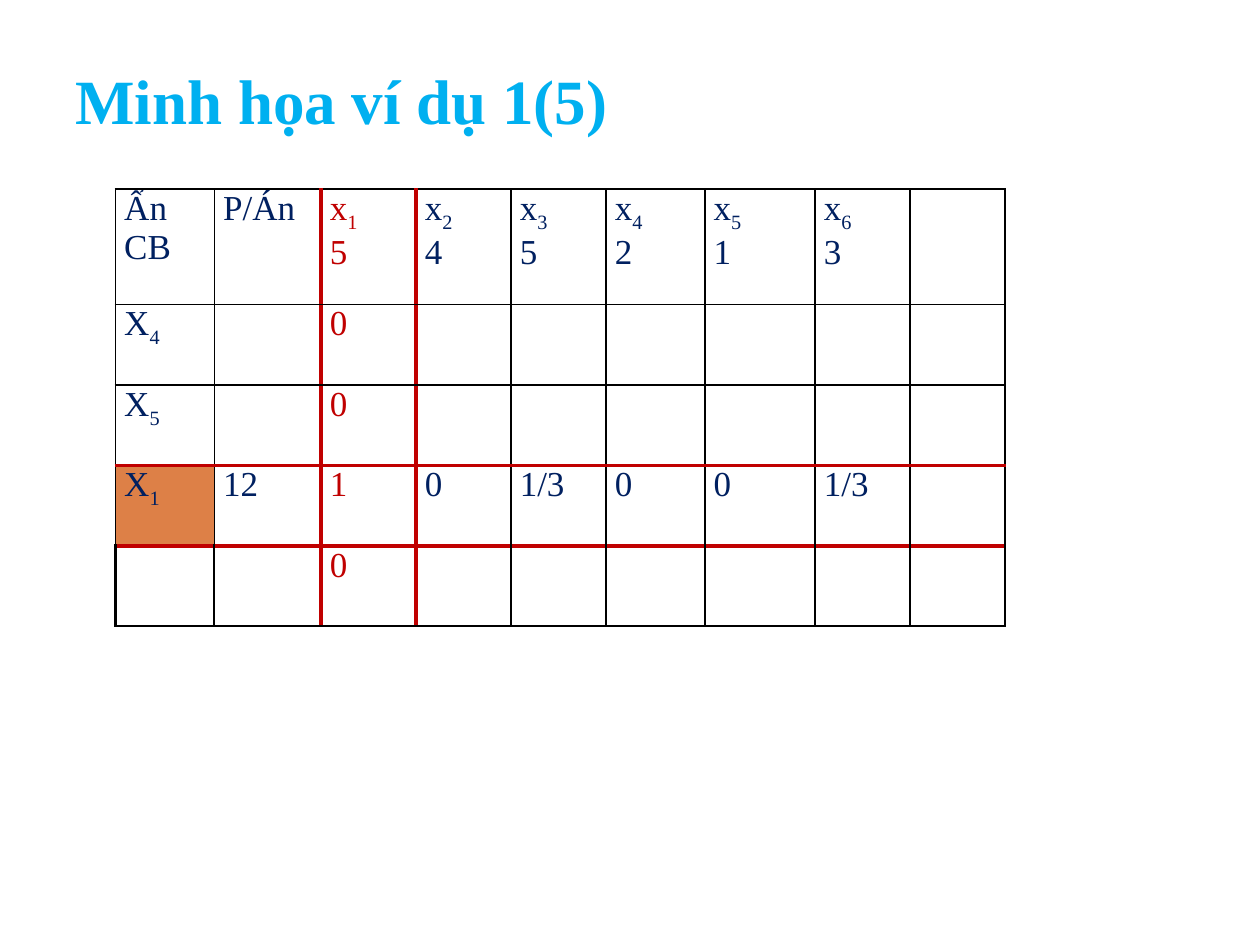
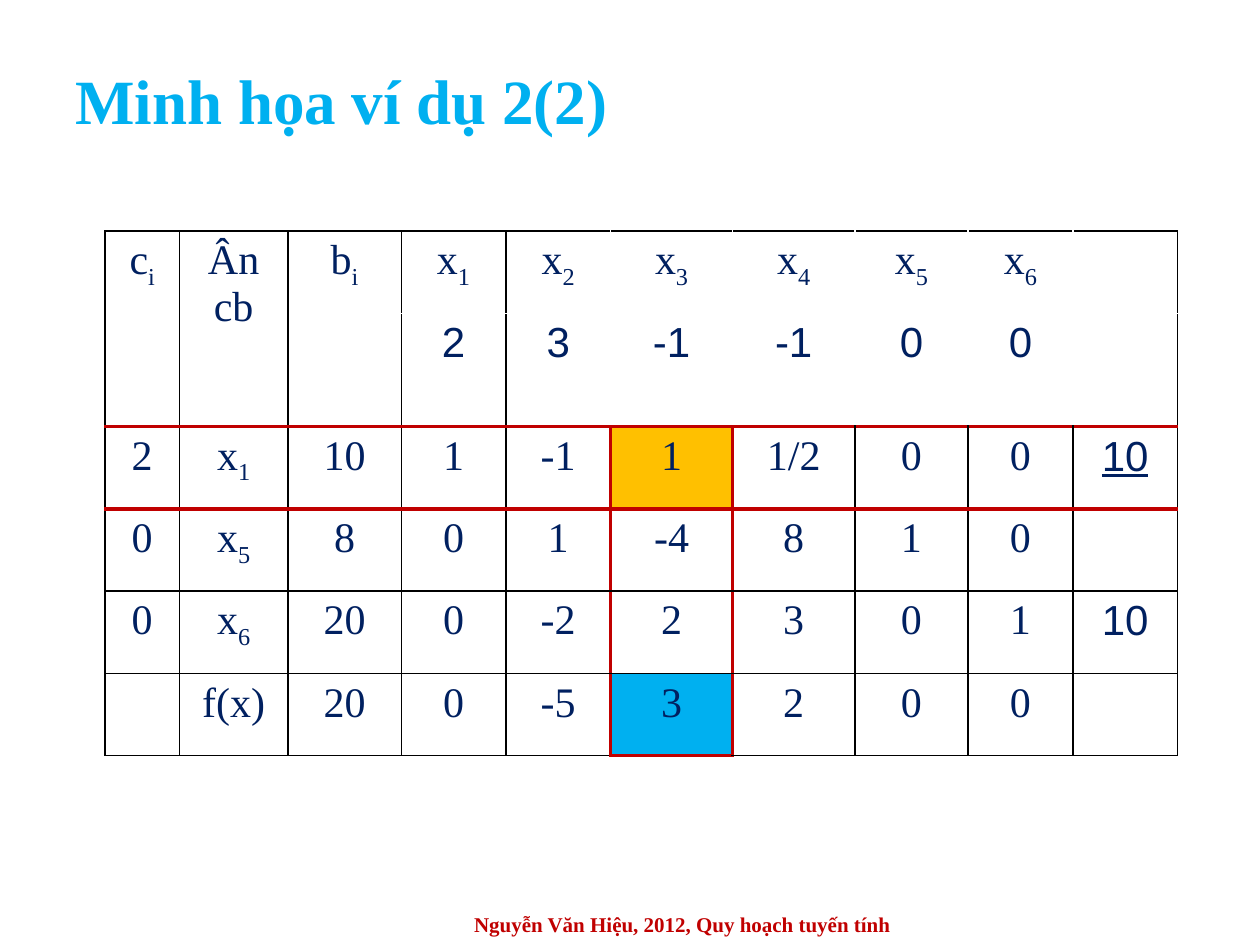
"""Build two slides of simplex tables."""
from itertools import product

from lxml.etree import SubElement
from pptx import Presentation
from pptx.dml.color import RGBColor
from pptx.enum.text import MSO_ANCHOR, PP_ALIGN
from pptx.oxml.ns import qn
from pptx.util import Pt

COLOURS = {
    "title": "00B0F0",
    "text": "002060",
    "accent": "C00000",
    "line": "000000",
    "leaving": "DD8047",
    "pivot": "FFC000",
    "entering": "00B0F0",
}
SERIF, SANS = "Times New Roman", "Arial"
THIN, MEDIUM, THICK = 1, 1.5, 2.25
EDGE_ORDER = [qn(f"a:ln{side}") for side in "LRTB"]


def colour(name):
    """Return the named colour."""
    return RGBColor.from_string(COLOURS[name])


def style_font(paragraph, size, colour_name, face=SERIF, bold=False, underline=None):
    """Set the font of a whole paragraph."""
    font = paragraph.font
    font.name, font.size, font.bold = face, Pt(size), bold
    font.underline = underline
    font.color.rgb = colour(colour_name)


def add_label(page, place, text, size, colour_name, align=PP_ALIGN.LEFT):
    """Add a bold line of text, centred vertically in its box."""
    box = page.shapes.add_textbox(*map(Pt, place))
    frame = box.text_frame
    frame.word_wrap = True
    frame.vertical_anchor = MSO_ANCHOR.MIDDLE
    paragraph = frame.paragraphs[0]
    paragraph.text = text
    paragraph.alignment = align
    style_font(paragraph, size, colour_name, bold=True)


def add_page(deck, title):
    """Add a blank page with the shared title."""
    page = deck.slides.add_slide(deck.slide_layouts[6])
    add_label(page, (36, 30, 648, 54), title, 36, "title")
    return page


def add_grid(page, corner, widths, heights, margins):
    """Add a plain table with the given column widths and row heights."""
    size = sum(widths), sum(heights)
    table = page.shapes.add_table(
        len(heights), len(widths), *map(Pt, (*corner, *size))).table
    table.first_row = table.horz_banding = False
    for column, width in zip(table.columns, widths):
        column.width = Pt(width)
    for row, height in zip(table.rows, heights):
        row.height = Pt(height)
    for cell in table.iter_cells():
        cell.fill.background()
        cell.margin_left = cell.margin_right = Pt(margins[0])
        cell.margin_top = cell.margin_bottom = Pt(margins[1])
    return table


def fill_cell(cell, text, align, **font):
    """Write lines into a cell; an underscore starts a subscript."""
    frame = cell.text_frame
    for number, line in enumerate(text.split("\n")):
        paragraph = frame.add_paragraph() if number else frame.paragraphs[0]
        paragraph.alignment = align
        style_font(paragraph, **font)
        base, _, subscript = line.partition("_")
        paragraph.add_run().text = base
        if subscript:
            span = paragraph.add_run()
            span.text = subscript
            span.font._element.set("baseline", "-25000")


def paint(cell, colour_name):
    """Fill a cell with a solid colour."""
    cell.fill.solid()
    cell.fill.fore_color.rgb = colour(colour_name)


def set_edge(cell, side, colour_name, weight):
    """Draw one border of a cell."""
    properties = cell._tc.get_or_add_tcPr()
    tag = qn(f"a:ln{side}")
    for old in properties.findall(tag):
        properties.remove(old)
    edge = SubElement(properties, tag, w=str(int(Pt(weight))))
    solid = SubElement(edge, qn("a:solidFill"))
    SubElement(solid, qn("a:srgbClr"), val=COLOURS[colour_name])
    properties[:] = sorted(
        properties,
        key=lambda part: EDGE_ORDER.index(part.tag) if part.tag in EDGE_ORDER else 4)


def draw_rows(table, lines, columns, colour_name="line", weight=THIN):
    """Draw horizontal grid lines across the given columns."""
    for line, column in product(lines, columns):
        if line > 0:
            set_edge(table.cell(line - 1, column), "B", colour_name, weight)
        if line < len(table.rows):
            set_edge(table.cell(line, column), "T", colour_name, weight)


def draw_columns(table, lines, rows, colour_name="line", weight=THIN):
    """Draw vertical grid lines down the given rows."""
    for line, row in product(lines, rows):
        if line > 0:
            set_edge(table.cell(row, line - 1), "R", colour_name, weight)
        if line < len(table.columns):
            set_edge(table.cell(row, line), "L", colour_name, weight)


def add_first_example(deck):
    """Add the table with the replaced basic variable."""
    page = add_page(deck, "Minh họa ví dụ 1(5)")
    widths = [56.5, 61, 54.3, 54.3, 54.3, 56.5, 63, 54.3, 54.3]
    table = add_grid(page, (66, 108), widths, [66] + [46] * 4, (5, 0))
    texts = [
        ["Ẩn CB", "P/Án", "x_1\n5", "x_2\n4", "x_3\n5", "x_4\n2", "x_5\n1", "x_6\n3"],
        ["X_4", "", "0"],
        ["X_5", "", "0"],
        ["X_1", "12", "1", "0", "1/3", "0", "0", "1/3"],
        ["", "", "0"],
    ]
    for row, line in enumerate(texts):
        for column, text in enumerate(line):
            if text:
                fill_cell(table.cell(row, column), text, PP_ALIGN.JUSTIFY, size=20,
                          colour_name="accent" if column == 2 else "text")
    paint(table.cell(3, 0), "leaving")
    rows, columns = range(5), range(9)
    draw_rows(table, range(5), columns)
    draw_columns(table, range(10), rows)
    draw_rows(table, [5], columns, weight=MEDIUM)
    draw_columns(table, range(10), [4], weight=MEDIUM)
    draw_rows(table, [3, 4], columns, "accent", THICK)
    draw_columns(table, [2, 3], rows, "accent", THICK)


def add_second_example(deck):
    """Add the table with the pivot row and column."""
    page = add_page(deck, "Minh họa ví dụ 2(2)")
    add_label(page, (210, 516, 360, 24), "Nguyễn Văn Hiệu, 2012, Quy hoạch tuyến tính",
              12, "accent", PP_ALIGN.CENTER)
    widths = [42.5, 62, 64.8, 59.8, 59.8, 69.8, 69.8, 64.8, 59.8, 59.8]
    table = add_grid(page, (60, 132), widths, [47, 60] + [47] * 4, (7.2, 3.6))
    texts = [
        ["c_i", "Ân cb", "b_i", "x_1", "x_2", "x_3", "x_4", "x_5", "x_6"],
        ["", "", "", "2", "3", "-1", "-1", "0", "0"],
        ["2", "x_1", "10", "1", "-1", "1", "1/2", "0", "0", "10"],
        ["0", "x_5", "8", "0", "1", "-4", "8", "1", "0"],
        ["0", "x_6", "20", "0", "-2", "2", "3", "0", "1", "10"],
        ["", "f(x)", "20", "0", "-5", "3", "2", "0", "0"],
    ]
    for row, line in enumerate(texts):
        for column, text in enumerate(line):
            if text:
                fill_cell(table.cell(row, column), text, PP_ALIGN.CENTER, size=24,
                          colour_name="text",
                          face=SANS if row == 1 or column == 9 else SERIF,
                          underline=True if (row, column) == (2, 9) else None)
    paint(table.cell(2, 5), "pivot")
    paint(table.cell(5, 5), "entering")
    columns, body = range(10), range(2, 6)
    draw_rows(table, [0, 4, 5, 6], columns)
    draw_columns(table, [0, 1, 2, 3, 10], range(2))
    draw_columns(table, range(11), body)
    draw_rows(table, [2, 3], columns, "accent", THICK)
    draw_columns(table, [5, 6], body, "accent", THICK)
    draw_rows(table, [6], [5], "accent", THICK)
    draw_columns(table, [4], range(2))
    for column in range(3):
        set_edge(table.cell(0, column), "B", "accent", THICK)
        table.cell(0, column).merge(table.cell(1, column))


def main():
    """Build and save the deck."""
    deck = Presentation()
    deck.slide_width, deck.slide_height = Pt(720), Pt(540)
    add_first_example(deck)
    add_second_example(deck)
    deck.save("out.pptx")


if __name__ == "__main__":
    main()
